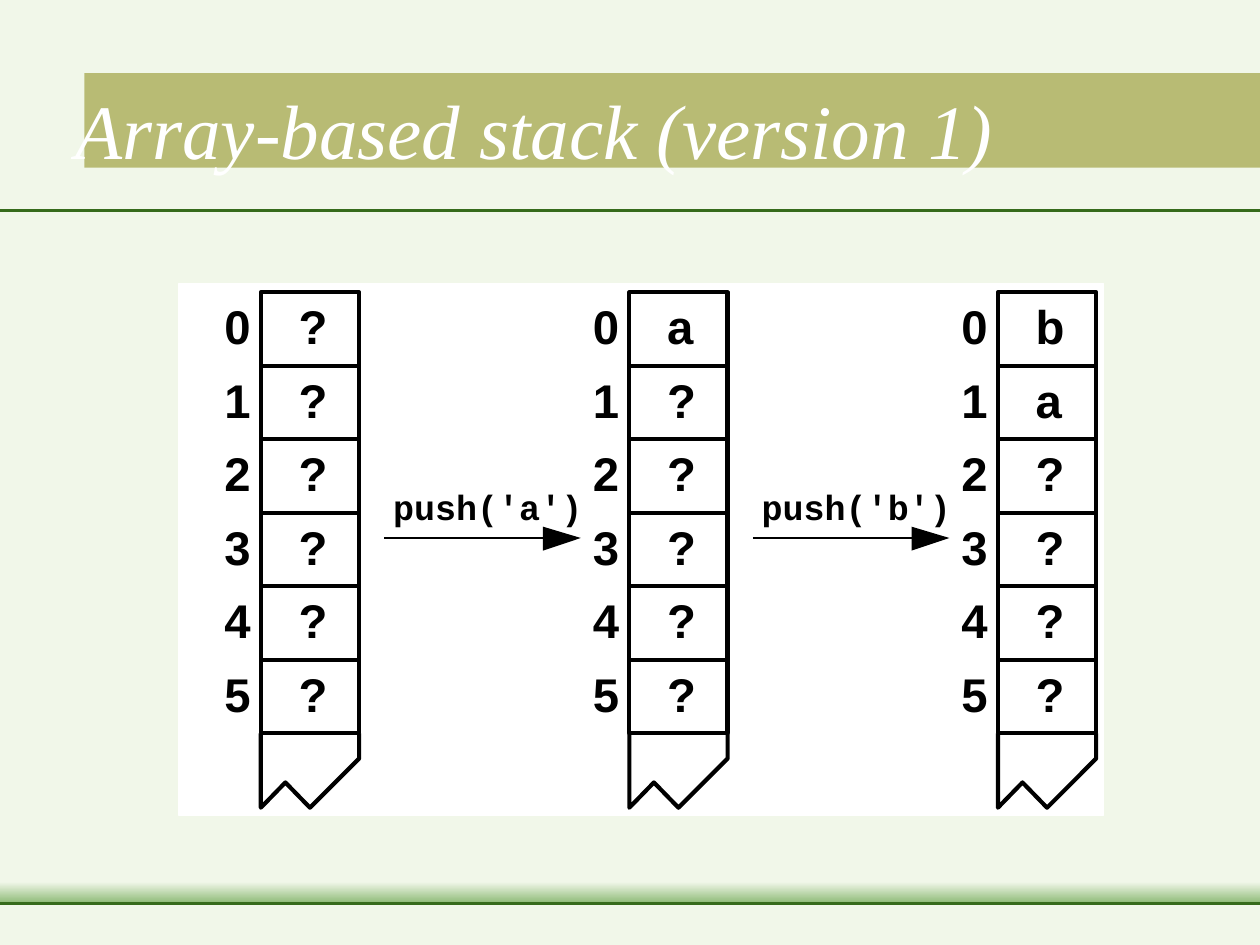
from dataclasses import dataclass

from lxml import etree
from pptx import Presentation
from pptx.dml.color import RGBColor
from pptx.enum import shapes, text
from pptx.oxml import ns
from pptx.util import Inches, Pt

PALE_GREEN = RGBColor(0xF1, 0xF7, 0xE9)
LEAF_GREEN = RGBColor(0x8D, 0xBA, 0x76)
DARK_GREEN = RGBColor(0x36, 0x6B, 0x1B)
OLIVE = RGBColor(0x80, 0x80, 0x00)
WHITE = RGBColor(0xFF, 0xFF, 0xFF)
BLACK = RGBColor(0, 0, 0)

STACK_TOP = 2.32
STACK_WIDTH = 0.78
STACK_HEIGHT = 3.5
CELL_COUNT = 6
CELL_HEIGHT = STACK_HEIGHT / CELL_COUNT
FIRST_STACK_LEFT = 2.07
STACK_PITCH = 2.925
ARROW_Y = 4.27

CELL_FONT = {"name": "Arial", "size": Pt(27), "bold": True}
CODE_FONT = {"name": "Courier New", "size": Pt(20), "bold": True}
TITLE_FONT = {"name": "Times New Roman", "size": Pt(44), "italic": True, "bold": False}


@dataclass
class Stack:
    left: float
    values: str


@dataclass
class Push:
    left: float
    label: str


def format_font(font, values: dict, color: RGBColor) -> None:
    for name, value in values.items():
        setattr(font, name, value)
    font.color.rgb = color


def add_rectangle(parent, left: float, top: float, width: float, height: float):
    shape = parent.add_shape(shapes.MSO_SHAPE.RECTANGLE, Inches(left), Inches(top),
                             Inches(width), Inches(height))
    shape.shadow.inherit = False
    shape.line.fill.background()
    return shape


def add_line(parent, left: float, right: float, y: float, color: RGBColor, weight: float):
    line = parent.add_connector(shapes.MSO_CONNECTOR.STRAIGHT, Inches(left), Inches(y),
                                Inches(right), Inches(y))
    line.line.color.rgb = color
    line.line.width = Pt(weight)
    etree.SubElement(line.element.spPr, ns.qn("a:effectLst"))
    return line


def add_outline(parent, points: list[tuple[float, float]], close: bool):
    corners = [(Inches(x), Inches(y)) for x, y in points]
    builder = parent.build_freeform(*corners[0])
    builder.add_line_segments(corners[1:], close=close)
    shape = builder.convert_to_shape()
    shape.shadow.inherit = False
    return shape


def add_label(parent, left: float, top: float, width: float, height: float,
              label: str, font: dict) -> None:
    frame = parent.add_textbox(Inches(left), Inches(top), Inches(width), Inches(height)).text_frame
    frame.margin_left = frame.margin_top = frame.margin_right = frame.margin_bottom = 0
    frame.word_wrap = False
    frame.auto_size = text.MSO_AUTO_SIZE.SHAPE_TO_FIT_TEXT
    run = frame.paragraphs[0].add_run()
    run.text = label
    format_font(run.font, font, BLACK)


def draw_stack(parent, stack: Stack) -> None:
    left, right = stack.left, stack.left + STACK_WIDTH
    body = add_rectangle(parent, left, STACK_TOP, STACK_WIDTH, STACK_HEIGHT)

    # Cell dividers; the middle one meets the midpoints of the sides
    for row in range(1, CELL_COUNT):
        divider = add_line(parent, left, right, STACK_TOP + row * CELL_HEIGHT, BLACK, 2.38)
        if row * 2 == CELL_COUNT:
            divider.begin_connect(body, 1)
            divider.end_connect(body, 3)

    # Torn lower end
    bottom = STACK_TOP + STACK_HEIGHT
    torn_end = add_outline(parent, [
        (left, bottom), (left, bottom + 0.59), (left + STACK_WIDTH / 4, bottom + 0.39),
        (left + STACK_WIDTH / 2, bottom + 0.59), (right, bottom + 0.2), (right, bottom),
    ], close=False)
    for shape in (body, torn_end):
        shape.fill.background()
        shape.line.color.rgb = BLACK
        shape.line.width = Pt(2.38)

    # Indexes and values
    for row, value in enumerate(stack.values):
        top = STACK_TOP + 0.04 + row * CELL_HEIGHT
        add_label(parent, left - 0.29, top, 0.21, 0.45, str(row), CELL_FONT)
        add_label(parent, left + 0.3, top, 0.21 if value == "a" else 0.23, 0.45, value, CELL_FONT)


def draw_push(parent, push: Push) -> None:
    add_line(parent, push.left, push.left + 1.36, ARROW_Y, BLACK, 1.5)
    head_left = push.left + 1.26
    head = add_outline(parent, [(head_left, ARROW_Y - 0.09), (head_left + 0.3, ARROW_Y),
                                (head_left, ARROW_Y + 0.1)], close=True)
    head.fill.solid()
    head.fill.fore_color.rgb = BLACK
    head.line.fill.background()
    # Slightly wider than the nine characters, so the label stays on one line
    add_label(parent, push.left + 0.07, 3.85, 1.55, 0.33, push.label, CODE_FONT)


def draw_background(slide) -> None:
    slide.background.fill.solid()
    slide.background.fill.fore_color.rgb = PALE_GREEN
    add_line(slide.shapes, 0, 10, 1.67, DARK_GREEN, 1.5)

    # Fading footer strip
    footer = add_rectangle(slide.shapes, 0, 7, 10, 0.17)
    footer.fill.gradient()
    footer.fill.gradient_angle = 270
    for stop, color in zip(footer.fill.gradient_stops, (PALE_GREEN, LEAF_GREEN)):
        stop.color.rgb = color
    add_line(slide.shapes, 0, 10, 7.17, DARK_GREEN, 1.5)

    # Half-transparent title band
    band = add_rectangle(slide.shapes, 0.67, 0.58, 9.33, 0.75)
    band.fill.solid()
    band.fill.fore_color.rgb = OLIVE
    color = band.element.spPr.find(".//" + ns.qn("a:srgbClr"))
    etree.SubElement(color, ns.qn("a:alpha"), val="50000")


def draw_title(slide, title: str) -> None:
    shape = slide.shapes.title
    shape.left, shape.top = Inches(0.5), Inches(0.25)
    shape.width, shape.height = Inches(9.5), Inches(1.54)
    frame = shape.text_frame
    frame.text = title
    frame.vertical_anchor = text.MSO_ANCHOR.MIDDLE
    frame.auto_size = text.MSO_AUTO_SIZE.NONE
    paragraph = frame.paragraphs[0]
    paragraph.alignment = text.PP_ALIGN.LEFT
    format_font(paragraph.runs[0].font, TITLE_FONT, WHITE)
    # Bring the title in front of its band
    shape.element.getparent().append(shape.element)


def main() -> None:
    presentation = Presentation()
    presentation.slide_width, presentation.slide_height = Inches(10), Inches(7.5)
    slide = presentation.slides.add_slide(presentation.slide_layouts[5])
    draw_background(slide)
    draw_title(slide, "Array-based stack (version 1)")

    # Stack diagram on a white panel
    diagram = slide.shapes.add_group_shape().shapes
    panel = add_rectangle(diagram, 1.42, 2.25, 7.34, 4.22)
    panel.fill.solid()
    panel.fill.fore_color.rgb = WHITE
    panel.line.color.rgb = WHITE
    panel.line.width = 0
    for step, values in enumerate(("??????", "a?????", "ba????")):
        draw_stack(diagram, Stack(FIRST_STACK_LEFT + step * STACK_PITCH, values))
    for step, label in enumerate(("push('a')", "push('b')")):
        draw_push(diagram, Push(FIRST_STACK_LEFT + 0.98 + step * STACK_PITCH, label))

    presentation.save("out.pptx")


if __name__ == "__main__":
    main()
